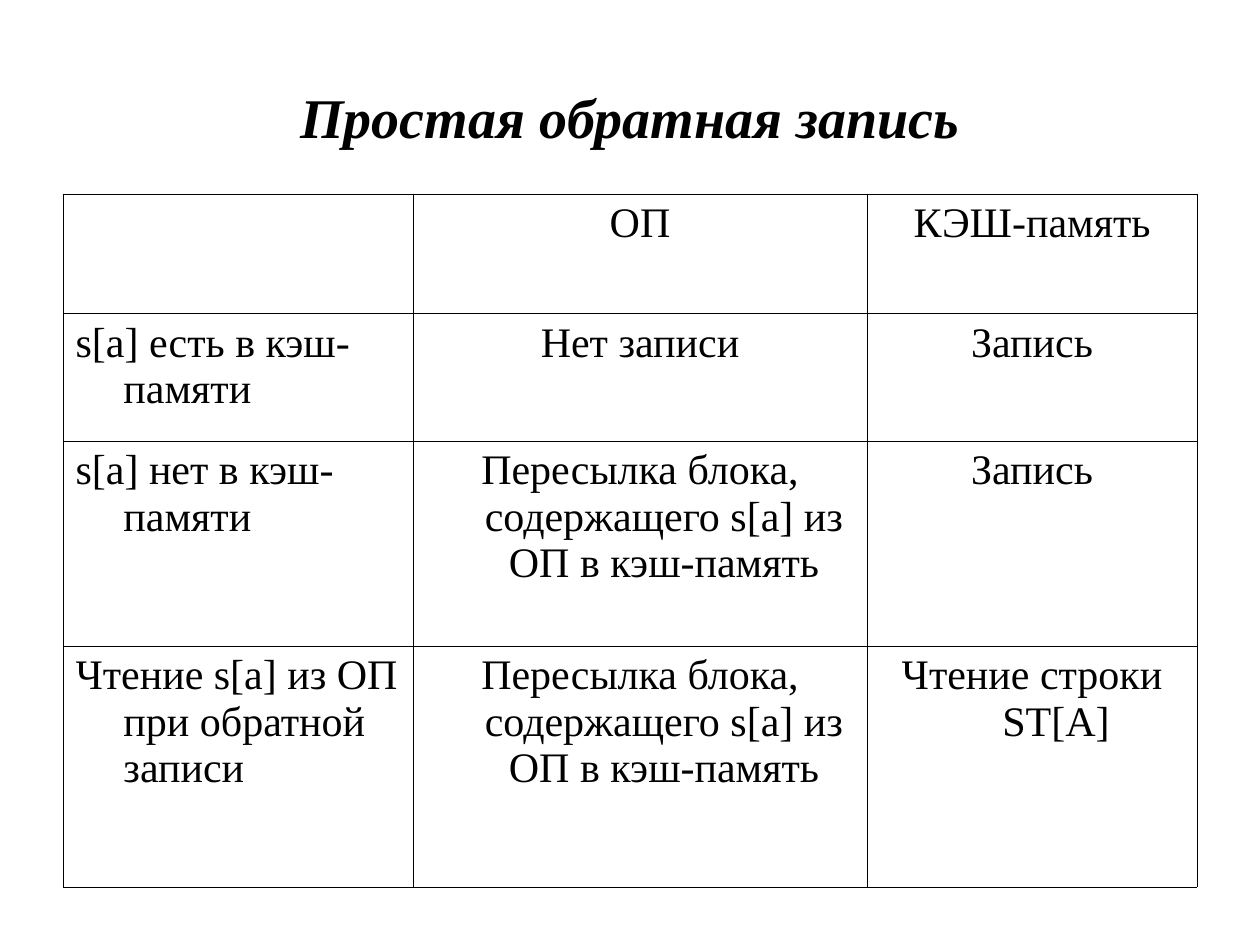
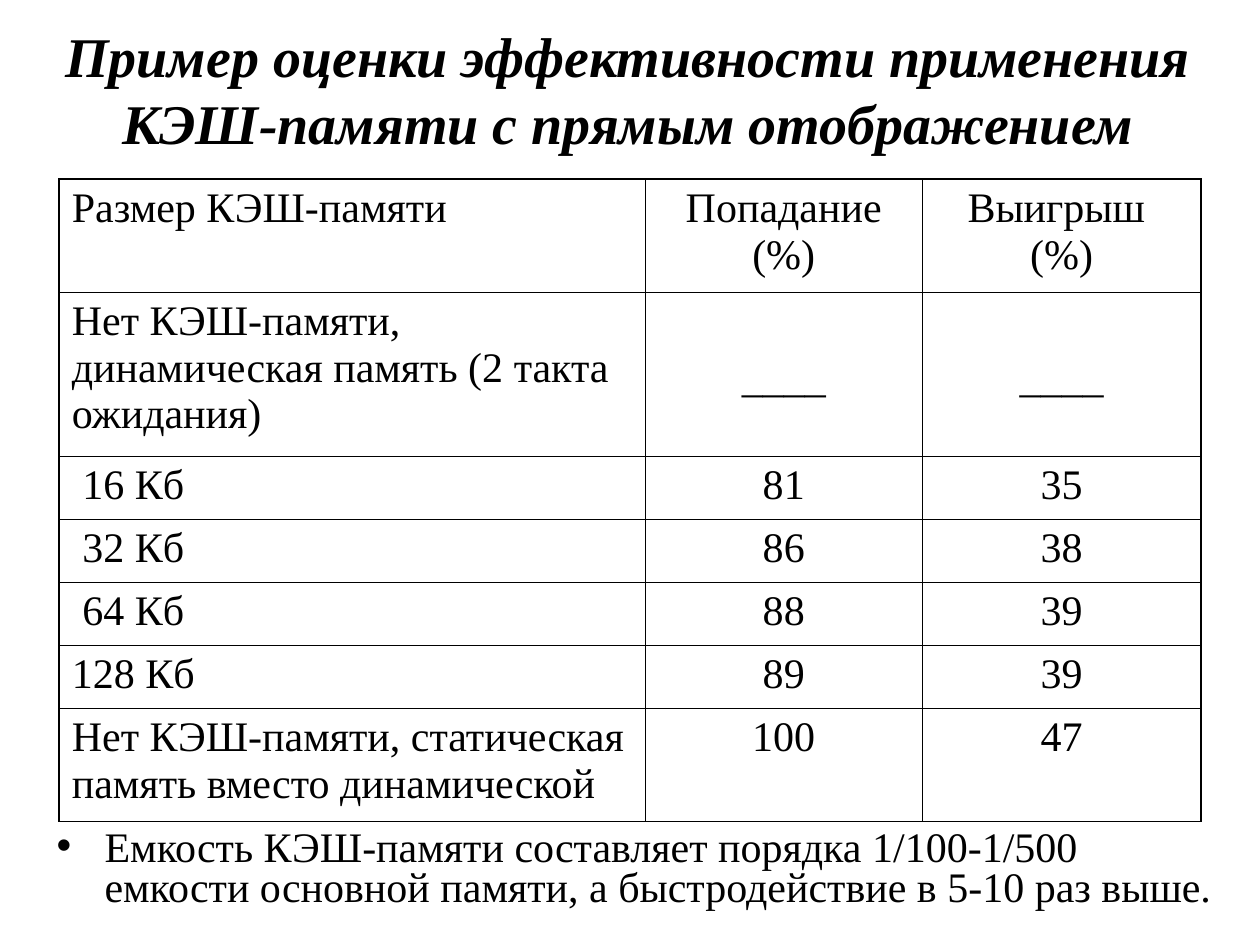
import dataclasses

import pptx
import pptx.dml.color
import pptx.enum.text
import pptx.oxml
import pptx.oxml.ns
import pptx.util

ALIGN = pptx.enum.text.PP_ALIGN
TRANSFER = "Пересылка блока, содержащего s[a] из ОП в кэш-память"
DASH = "____"


@dataclasses.dataclass(frozen=True)
class Theme:
    ink: str = "000000"
    paper: str = "FFFFFF"
    font: str = "Times New Roman"
    title_size: int = 32
    text_size: int = 24
    thin: float = 0.45
    thick: float = 1.08
    hanging: float = 0.38
    dash_drop: float = 0.5


THEME = Theme()
WIDTH = pptx.util.Inches(10)
HEIGHT = pptx.util.Inches(7.5)

# Boxes are left, top, width and height in percent of the slide.
SLIDES = [
    {
        "layout": 5,
        "title": "Простая обратная запись",
        "title_box": (5, 4, 90, 16.67),
        "table_box": (5, 20.53, 90, 73.33),
        "columns": (2.78, 3.61, 2.62),
        "row_heights": (0.95, 1.01, 1.63, 1.91),
        "outline": THEME.thin,
        "format": {"hanging": THEME.hanging},
        "rows": [
            ("", "ОП", "КЭШ-память"),
            ("s[a] есть в кэш-памяти", "Нет записи", "Запись"),
            ("s[a] нет в кэш-памяти", TRANSFER, "Запись"),
            ("Чтение s[a] из ОП при обратной записи", TRANSFER, "Чтение строки ST[A]"),
        ],
    },
    {
        "layout": 1,
        "title": "Пример оценки эффективности применения КЭШ-памяти с прямым отображением",
        "title_box": (2, 4, 95.7, 10.8),
        "table_box": (4.7, 18.93, 90.6, 68),
        "columns": (4.65, 2.2, 2.21),
        "row_heights": (0.9, 1.3, 0.5, 0.5, 0.5, 0.5, 0.9),
        "outline": THEME.thick,
        "format": {"before": 6},
        "rows": [
            ("Размер КЭШ-памяти", "Попадание\n(%)", "Выигрыш \n(%)"),
            ("Нет КЭШ-памяти, динамическая память (2 такта ожидания)", DASH, DASH),
            (" 16 Кб", "81", "35"),
            (" 32 Кб", "86", "38"),
            (" 64 Кб", "88", "39"),
            ("128 Кб", "89", "39"),
            ("Нет КЭШ-памяти, статическая память вместо динамической", "100", "47"),
        ],
        "note": "Емкость КЭШ-памяти составляет порядка 1/100-1/500 емкости основной "
                "памяти, а быстродействие в 5-10 раз выше.",
        "note_box": (3.5, 87.2, 94.1, 11.07),
    },
]


def place(box):
    return [round(share * side / 100) for share, side in zip(box, (WIDTH, HEIGHT) * 2)]


def write(frame, text, size=THEME.text_size, strong=False, align=ALIGN.LEFT,
          hanging=0, before=0, spacing=1.0):
    frame.word_wrap = True
    para = frame.paragraphs[0]
    para.text = text
    para.alignment = align
    para.space_before = pptx.util.Pt(before)
    para.line_spacing = spacing
    indent = pptx.util.Inches(hanging)
    properties = para._p.get_or_add_pPr()
    properties.set("marL", str(indent))
    properties.set("indent", str(-indent))
    for span in para.runs:
        span.font.name = THEME.font
        span.font.size = pptx.util.Pt(size)
        span.font.bold = span.font.italic = strong
        span.font.color.rgb = pptx.dml.color.RGBColor.from_string(THEME.ink)


def fill_placeholder(holder, box, text, anchor, **style):
    holder.left, holder.top, holder.width, holder.height = place(box)
    holder.text_frame.auto_size = pptx.enum.text.MSO_AUTO_SIZE.NONE
    holder.text_frame.vertical_anchor = anchor
    write(holder.text_frame, text, **style)


def border(cell, side, weight):
    cell._tc.get_or_add_tcPr().append(pptx.oxml.parse_xml(
        f'<a:{side} {pptx.oxml.ns.nsdecls("a")} w="{pptx.util.Pt(weight)}">'
        f'<a:solidFill><a:srgbClr val="{THEME.ink}"/></a:solidFill></a:{side}>'))


def add_grid(page, content):
    rows, columns = content["rows"], content["columns"]
    heights = content["row_heights"]
    left, top, width, height = place(content["table_box"])
    table = page.shapes.add_table(len(rows), len(columns), left, top, width, height).table
    table.first_row = table.horz_banding = False
    for column, part in zip(table.columns, columns):
        column.width = round(width * part / sum(columns))
    for row, part in zip(table.rows, heights):
        row.height = round(height * part / sum(heights))
    for r, texts in enumerate(rows):
        for c, text in enumerate(texts):
            cell = table.cell(r, c)
            edges = {"lnL": c == 0, "lnR": c == len(columns) - 1,
                     "lnT": r == 0, "lnB": r == len(rows) - 1}
            for side, outer in edges.items():
                border(cell, side, content["outline"] if outer else THEME.thin)
            cell.fill.background()
            if text == DASH:
                cell.margin_top = pptx.util.Inches(THEME.dash_drop)
            write(cell.text_frame, text, align=ALIGN.CENTER if c else ALIGN.LEFT,
                  **content["format"])


def add_page(deck, content):
    page = deck.slides.add_slide(deck.slide_layouts[content["layout"]])
    page.background.fill.solid()
    page.background.fill.fore_color.rgb = pptx.dml.color.RGBColor.from_string(THEME.paper)
    anchors = pptx.enum.text.MSO_ANCHOR
    fill_placeholder(page.shapes.title, content["title_box"], content["title"], anchors.MIDDLE,
                     size=THEME.title_size, strong=True, align=ALIGN.CENTER)
    if "note" in content:
        fill_placeholder(page.placeholders[1], content["note_box"], content["note"],
                         anchors.TOP, hanging=THEME.hanging, before=4.5, spacing=0.8)
    add_grid(page, content)


def main():
    deck = pptx.Presentation()
    deck.slide_width, deck.slide_height = WIDTH, HEIGHT
    for content in SLIDES:
        add_page(deck, content)
    deck.save("out.pptx")


if __name__ == "__main__":
    main()
